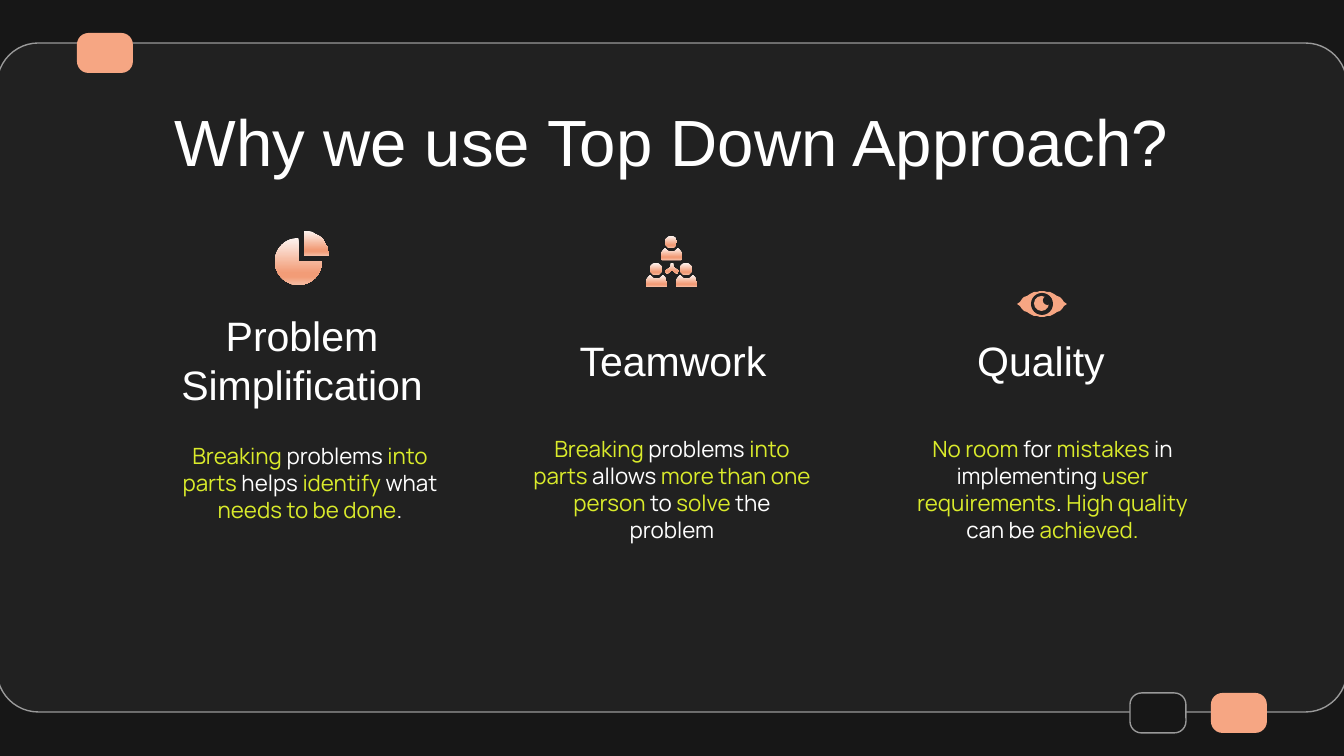
"""Builds a slide on the reasons for the top-down approach."""
from copy import deepcopy
from math import cos, pi, sin

from pptx import Presentation
from pptx.dml.color import RGBColor
from pptx.enum.shapes import MSO_SHAPE
from pptx.enum.text import MSO_ANCHOR, PP_ALIGN
from pptx.oxml.ns import qn
from pptx.util import Pt

ROUND, OVAL, PIE = MSO_SHAPE.ROUNDED_RECTANGLE, MSO_SHAPE.OVAL, MSO_SHAPE.PIE
TOP, BOTTOM = MSO_ANCHOR.TOP, MSO_ANCHOR.BOTTOM
CENTER = PP_ALIGN.CENTER
PX = 914400 / 134.4
DARK, PANEL, GREY, PEACH = "171717", "212121", "999999", "F6A683"
WHITE, LIME = "FFFFFF", "DAEB2B"
STOPS = [(0, "FEF4F0"), (0.74, "F29C77"), (0.83, "F29C77"), (1, "F6BDA4")]
rgb = RGBColor.from_string


def paint(shape, fill=None, line=None):
    """Fill a shape with a colour, or with the icon gradient if none is given."""
    shape.shadow.inherit = False
    if fill:
        shape.fill.solid()
        shape.fill.fore_color.rgb = rgb(fill)
    else:
        shape.fill.gradient()
        shape.fill.gradient_angle = 270
        stops = shape._element.spPr.find(".//" + qn("a:gsLst"))
        for _ in range(2):
            stops.append(deepcopy(stops[0]))
        for stop, (pos, color) in zip(shape.fill.gradient_stops, STOPS):
            stop.position = pos
            stop.color.rgb = rgb(color)
    if line:
        shape.line.color.rgb = rgb(line)
        shape.line.width = Pt(0.75)
    else:
        shape.line.fill.background()


def write(shape, box, text, font, size, colors, anchor=TOP):
    """Place a text shape and colour its parts, split at bars, in turn."""
    shape.left, shape.top, shape.width, shape.height = (round(v * PX) for v in box)
    frame = shape.text_frame
    frame.word_wrap = True
    frame.vertical_anchor = anchor
    frame.margin_left = frame.margin_right = round(13 * PX)
    frame.margin_top = frame.margin_bottom = round(13 * PX)
    para = frame.paragraphs[0]
    para.alignment = CENTER
    for i, part in enumerate(text.split("|")):
        run = para.add_run()
        run.text = part
        run.font.name = font
        run.font.size = Pt(size)
        run.font.color.rgb = rgb(colors[i % len(colors)])


prs = Presentation()
prs.slide_width, prs.slide_height = round(1344 * PX), round(756 * PX)
slide = prs.slides.add_slide(prs.slide_layouts[5])
slide.background.fill.solid()
slide.background.fill.fore_color.rgb = rgb(DARK)
shapes = slide.shapes

frames = [
    (-3, 43, 1350, 669, 0.062, PANEL, GREY),
    (1211, 693, 56, 40, 0.289, PEACH, None),
    (77, 33, 56, 40, 0.289, PEACH, None),
    (1130, 693, 56, 40, 0.289, DARK, GREY),
]
for *box, bend, fill, line in frames:
    tab = shapes.add_shape(ROUND, *(round(v * PX) for v in box))
    tab.adjustments[0] = bend
    paint(tab, fill, line)

title = shapes.title
write(title, (105, 79, 1134, 85), "Why we use Top Down Approach?", "Arial", 35, [WHITE])
title.text_frame.margin_top = round(22 * PX)
shapes._spTree.append(title._element)

columns = [
    ("Problem Simplification", (149, 355), (157, 429, 306),
     "Breaking| problems |into parts| helps |identify| what |needs to be done|."),
    ("Teamwork", (520, 331), (519, 422, 306),
     "Breaking| problems |into parts| allows |more than one person |to |solve| the problem"),
    ("Quality", (888, 331), (871, 422, 343),
     "No room| for |mistakes| in implementing |user requirements|. |High quality |can be |achieved."),
]
for head, spot, area, body in columns:
    write(shapes.add_textbox(0, 0, 0, 0), (*area, 128), body, "Manrope", 12, [LIME, WHITE])
    if head == "Quality":
        para = shapes[-1].text_frame.paragraphs[0]
        para._p.get_or_add_pPr().set("marL", str(round(20 * PX)))
    write(shapes.add_textbox(0, 0, 0, 0), (*spot, 306, 67), head, "Arial", 22, [WHITE], BOTTOM)

steps = [i / 10 for i in range(-10, 11)]
lens = [(1042 + 25 * u, 304 - 13 * (1 - u * u)) for u in steps]
lens += [(1042 - 25 * u, 304 + 13 * (1 - u * u)) for u in steps]
turns = [i * pi / 20 for i in range(11)]
slice_ = [(304, 256)] + [(304 + 25 * sin(t), 256 - 25 * cos(t)) for t in turns]
fork = [(671, 263), (671, 267), (665, 271), (667, 274), (672, 270),
        (677, 274), (679, 271), (673, 267), (673, 263)]
torso = [(4, 0), (7, 3), (10, 4), (14, 3), (17, 0), (20, 4), (21, 8),
         (21, 11), (20, 12), (1, 12), (0, 11), (0, 8), (1, 4)]
people = [(661, 248), (646, 275), (676, 275)]
torsos = [[(x + a, y + b) for a, b in torso] for x, y in people]

for points, fill in [(lens, PEACH), (slice_, None), (fork, None)] + [(t, None) for t in torsos]:
    pen = shapes.build_freeform(*points[0], scale=PX)
    pen.add_line_segments(points[1:])
    paint(pen.convert_to_shape(), fill)

rounds = [
    (OVAL, 1031, 293, 22, 22, PANEL),
    (OVAL, 1034, 296, 15, 15, PEACH),
    (OVAL, 1043, 296, 9, 9, PANEL),
    (PIE, 275, 238, 47, 47, None),
]
rounds += [(OVAL, x + 4, y - 12, 12, 12, None) for x, y in people]
for kind, *box, fill in rounds:
    paint(shapes.add_shape(kind, *(round(v * PX) for v in box)), fill)

prs.save("out.pptx")
